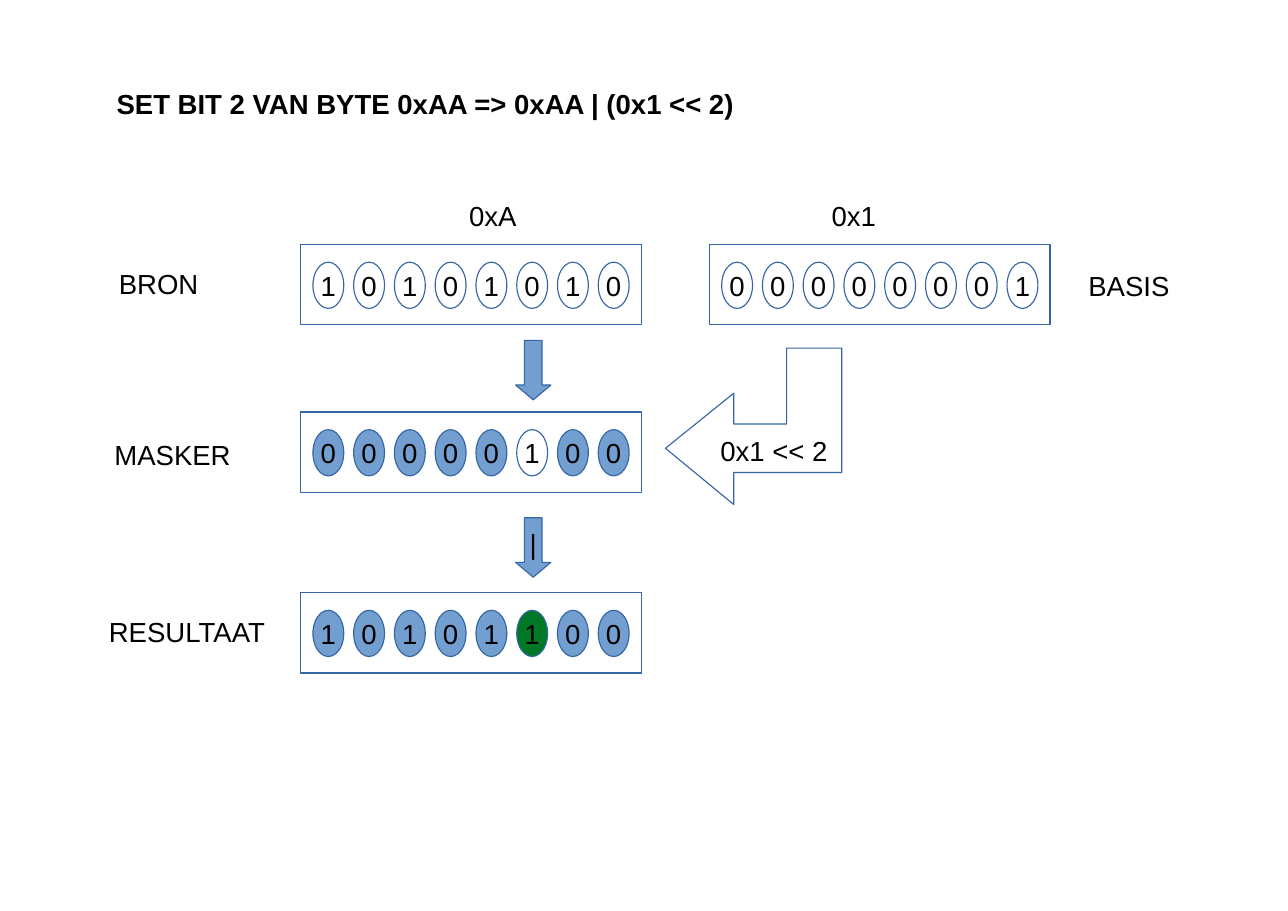
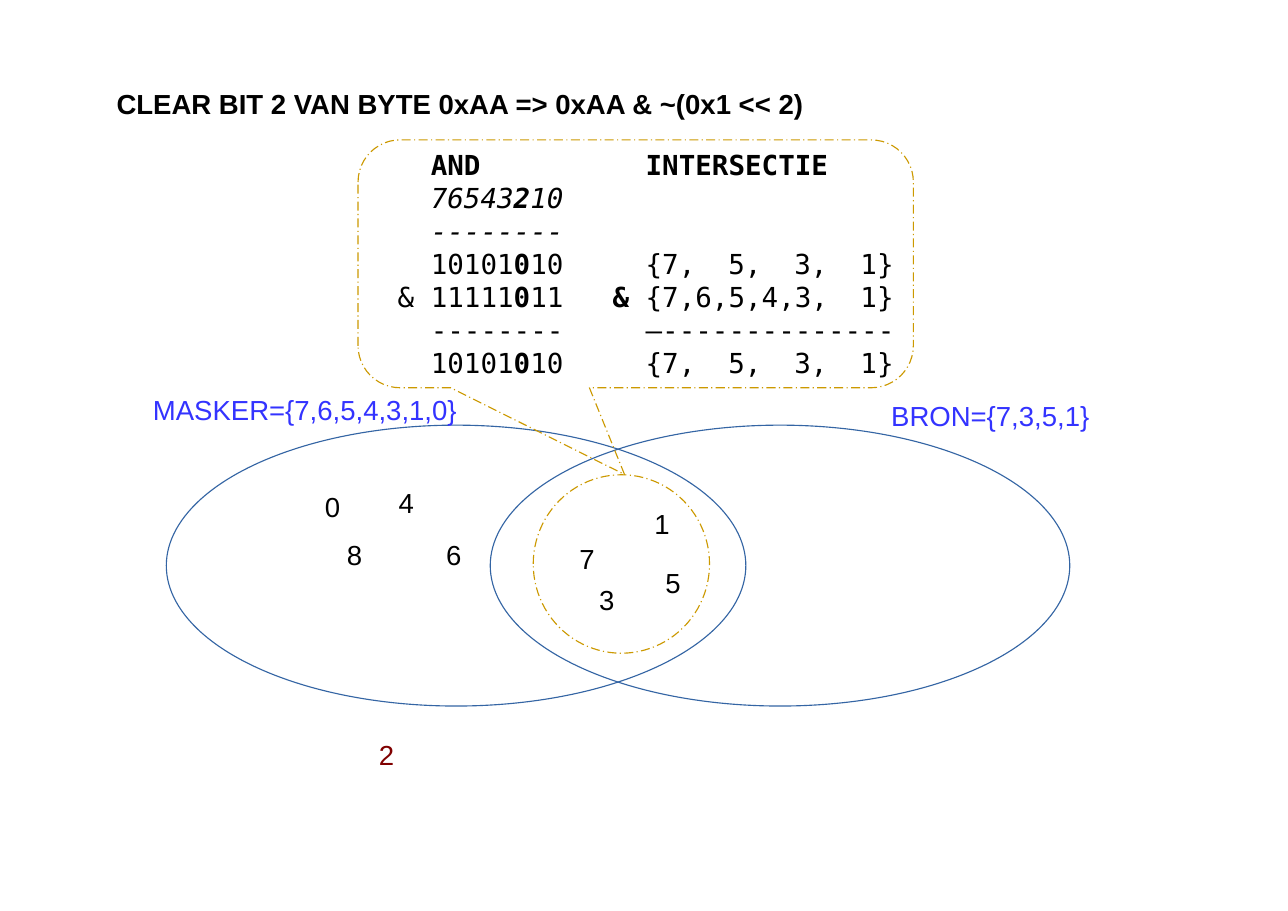
from lxml import etree
from pptx import Presentation
from pptx.dml.color import RGBColor
from pptx.enum.dml import MSO_LINE
from pptx.enum.shapes import MSO_SHAPE as SHAPE
from pptx.enum.text import MSO_ANCHOR as ANCHOR, MSO_AUTO_SIZE as FIT, PP_ALIGN as ALIGN
from pptx.oxml.ns import qn
from pptx.util import Inches, Pt

BLACK, BLUE, LIGHT_BLUE = "000000", "3465A4", "729FCF"
GREEN, GOLD, VIOLET, MAROON = "007826", "CC9900", "3333FF", "800000"
SANS, MONO = "Arial", "DejaVu Sans Mono"
MONO_WIDTH = 0.15  # inches per character at 18 pt


def rgb(value):
    return RGBColor.from_string(value)


class Deck:
    """Holds the presentation, the current slide and the shared style."""

    def __init__(self):
        self.prs = Presentation()
        self.prs.slide_width, self.prs.slide_height = Inches(11.69), Inches(8.27)

    def new_slide(self, title):
        self.s = self.prs.slides.add_slide(self.prs.slide_layouts[6])
        self.text(0.96, 0.74, 6.8, title, bold=True)

    def add_run(self, p, text, color=BLACK, font=SANS, bold=False, italic=False):
        r = p.add_run()
        r.text = text
        for name, value in dict(name=font, size=Pt(18), bold=bold, italic=italic).items():
            setattr(r.font, name, value)
        r.font.color.rgb = rgb(color)

    def text(self, x, y, w, text, color=BLACK, bold=False):
        tf = self.s.shapes.add_textbox(*map(Inches, (x, y, w, 0.38))).text_frame
        tf.word_wrap, tf.auto_size = True, FIT.SHAPE_TO_FIT_TEXT
        self.add_run(tf.paragraphs[0], text, color, bold=bold)

    def outline(self, sp, line=BLUE, fill=None, dash=None):
        sp.shadow.inherit = False
        if fill:
            sp.fill.solid()
            sp.fill.fore_color.rgb = rgb(fill)
        else:
            sp.fill.background()
        sp.line.color.rgb = rgb(line)
        sp.line.width = Pt(0)
        if dash:
            sp.line.dash_style = dash
        return sp

    def shape(self, kind, x, y, w, h, text="", adjust=(), **style):
        sp = self.s.shapes.add_shape(kind, *map(Inches, (x, y, w, h)))
        for i, value in enumerate(adjust):
            sp.adjustments[i] = value
        if text:
            tf = sp.text_frame
            tf.word_wrap, tf.vertical_anchor = False, ANCHOR.MIDDLE
            tf.paragraphs[0].alignment = ALIGN.CENTER
            self.add_run(tf.paragraphs[0], text)
        return self.outline(sp, **style)

    def polygon(self, points):
        first, *rest = [(Inches(x), Inches(y)) for x, y in points]
        builder = self.s.shapes.build_freeform(*first)
        builder.add_line_segments(rest, close=True)
        self.outline(builder.convert_to_shape())

    def byte(self, x, y, bits, fill=None, bit2_fill=None):
        """Frame with eight bits; bit 2 has its own fill."""
        self.shape(SHAPE.RECTANGLE, x, y, 3.09, 0.73)
        for i, bit in enumerate(bits):
            self.shape(SHAPE.OVAL, x + 0.11 + 0.37 * i, y + 0.16, 0.28, 0.42, bit,
                       fill=bit2_fill if i == 5 else fill)

    def down_arrow(self, y, text=""):
        self.shape(SHAPE.DOWN_ARROW, 4.68, y, 0.32, 0.54, text, (0.5, 0.42), fill=LIGHT_BLUE)

    def columns(self, sp, lines, stops):
        """Monospaced lines with tab stops counted in characters."""
        tf = sp.text_frame
        for name, value in dict(word_wrap=True, vertical_anchor=ANCHOR.MIDDLE,
                                margin_left=Inches(0.1), margin_right=0).items():
            setattr(tf, name, value)
        for i, runs in enumerate(lines):
            p = tf.add_paragraph() if i else tf.paragraphs[0]
            p.alignment = ALIGN.LEFT
            tabs = etree.SubElement(p._p.get_or_add_pPr(), qn("a:tabLst"))
            for stop in stops:
                etree.SubElement(tabs, qn("a:tab"), pos=str(Inches(stop * MONO_WIDTH)), algn="l")
            for text, style in runs:
                self.add_run(p, text, font=MONO, bold="b" in style, italic="i" in style)


def set_bit(deck):
    deck.new_slide("SET BIT 2 VAN BYTE 0xAA => 0xAA | (0x1 << 2)")
    deck.byte(2.73, 2.22, "10101010")
    deck.byte(6.44, 2.22, "00000001")
    deck.byte(2.73, 3.74, "00000100", LIGHT_BLUE)
    deck.byte(2.73, 5.38, "10101100", LIGHT_BLUE, GREEN)
    deck.down_arrow(3.09)
    deck.down_arrow(4.7, "|")
    deck.polygon([(6.66, 3.57), (6.66, 3.85), (7.14, 3.85), (7.14, 3.16), (7.64, 3.16),
                  (7.64, 4.29), (6.66, 4.29), (6.66, 4.58), (6.04, 4.07)])
    for x, y, w, label in [
        (0.98, 2.37, 0.98, "BRON"), (0.94, 3.93, 1.34, "MASKER"),
        (0.89, 5.53, 1.77, "RESULTAAT"), (9.78, 2.39, 1.17, "BASIS"),
        (4.16, 1.76, 0.69, "0xA"), (7.45, 1.76, 0.8, "0x1"), (6.44, 3.89, 1.38, "0x1 << 2"),
    ]:
        deck.text(x, y, w, label)


def clear_bit(deck):
    deck.new_slide("CLEAR BIT 2 VAN BYTE 0xAA => 0xAA & ~(0x1 << 2)")
    for x in (1.51, 4.45):
        deck.shape(SHAPE.OVAL, x, 3.86, 5.26, 2.55)
    dashed = dict(line=GOLD, dash=MSO_LINE.LONG_DASH_DOT)
    deck.shape(SHAPE.OVAL, 4.84, 4.31, 1.6, 1.62, **dashed)
    for x, y, digit in [(5.94, 5.09, "5"), (5.84, 4.55, "1"), (5.34, 5.24, "3"),
                        (5.16, 4.87, "7"), (3.95, 4.83, "6"), (3.05, 4.83, "8"),
                        (3.52, 4.36, "4"), (2.85, 4.4, "0")]:
        deck.text(x, y, 0.6, digit)
    deck.text(3.34, 6.65, 0.6, "2", MAROON)
    deck.text(7.99, 3.57, 2.01, "BRON={7,3,5,1}", VIOLET)
    callout = deck.shape(SHAPE.ROUNDED_RECTANGULAR_CALLOUT, 3.25, 1.27, 5.04, 2.25,
                         adjust=(-0.02, 0.85, 0.17), **dashed)
    source = [("\t\t10101", ""), ("0", "b"), ("10\t\t{7,\t5,\t3,\t1}", "")]
    deck.columns(callout, [
        [("\t\tAND\t\tINTERSECTIE", "b")],
        [("\t\t76543", "i"), ("2", "bi"), ("10", "i")],
        [("\t\t--------", "i")],
        source,
        [("\t&\t11111", ""), ("0", "b"), ("11\t", ""), ("&\t", "b"), ("{7,6,5,4,3,\t1}", "")],
        [("\t\t--------\t\t–--------------", "")],
        source,
    ], stops=(1, 3, 14, 16, 21, 25, 29))
    deck.text(1.29, 3.52, 3, "MASKER={7,6,5,4,3,1,0}", VIOLET)


def main():
    deck = Deck()
    set_bit(deck)
    clear_bit(deck)
    deck.prs.save("out.pptx")


if __name__ == "__main__":
    main()
